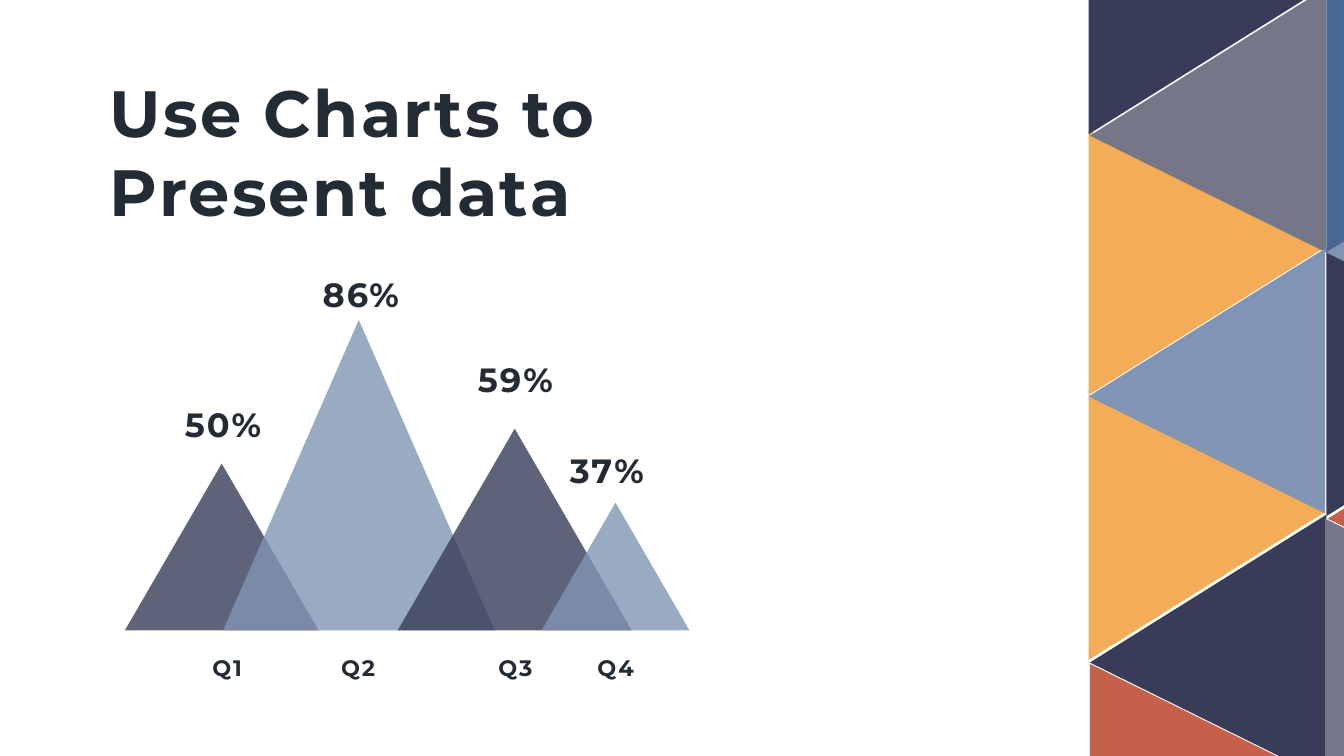
from lxml.etree import SubElement
from pptx import Presentation
from pptx.dml.color import RGBColor
from pptx.enum.shapes import MSO_SHAPE as SHAPE
from pptx.enum.text import MSO_AUTO_SIZE as AUTO, PP_ALIGN as ALIGN
from pptx.oxml.ns import qn
from pptx.util import Emu, Inches, Pt

WIDTH, HEIGHT = Inches(10), Inches(5.625)
COLUMNS = 100
CELL = WIDTH / COLUMNS
NAVY, SKY, BLUE = "383C58", "8095B5", "486794"
AMBER, GREY, RUST, INK = "F3AC58", "767689", "C4604C", "232C34"

BASELINE = 46.9
QUARTERS = [
    ("Q1", "50%", 9.3, 14.4, 12.4, NAVY, (14.7, 4.4), (12.4, 29.6, 8.4), ALIGN.CENTER),
    ("Q2", "86%", 16.6, 20.2, 23.1, SKY, (24.3, 4.7), (22.7, 19.9, 8.3), ALIGN.CENTER),
    ("Q3", "59%", 29.6, 17.4, 15, NAVY, (36, 4.7), (34.3, 26.2, 8.1), ALIGN.CENTER),
    ("Q4", "37%", 40.3, 11, 9.5, SKY, (43.4, 4.8), (40.8, 33, 8.1), ALIGN.RIGHT),
]

SIDE, REACH, RISE = 19.7, 17.6, 8.7
RIGHT, LEFT = 1, -1
TILES = [
    (98.7, 38.3, LEFT, NAVY),
    (81, 9.7, RIGHT, AMBER),
    (81, -9.7, RIGHT, NAVY),
    (98.7, -0.9, RIGHT, BLUE),
    (98.7, -0.9, LEFT, GREY),
    (81.1, 49.4, RIGHT, RUST),
    (98.6, 38.6, RIGHT, GREY),
    (81, 29.4, RIGHT, AMBER),
    (98.7, 18.7, RIGHT, NAVY),
    (116.4, 27.6, LEFT, RUST),
    (116.3, 7.8, LEFT, SKY),
    (98.6, 18.5, LEFT, SKY),
]


def grid(n):
    return Emu(round(n * CELL))


def color(target, value):
    target.rgb = RGBColor.from_string(value)


def paint(sp, value, opacity=100):
    sp.shadow.inherit = False
    sp.line.fill.background()
    sp.fill.solid()
    color(sp.fill.fore_color, value)
    if opacity < 100:
        clr = sp._element.spPr.find(qn("a:solidFill"))[0]
        SubElement(clr, qn("a:alpha"), val=str(opacity * 1000))


def add_text(s, text, x, y, w, h, size=12, align=ALIGN.LEFT):
    tf = s.shapes.add_textbox(*map(grid, (x, y, w, h))).text_frame
    tf.word_wrap = False
    tf.auto_size = AUTO.SHAPE_TO_FIT_TEXT
    for i, line in enumerate(text.split("\n")):
        p = tf.add_paragraph() if i else tf.paragraphs[0]
        p.alignment = align
        r = p.add_run()
        r.text = line
        r.font.name, r.font.size, r.font.bold = "Montserrat", Pt(size), True
        color(r.font.color, INK)
        r._r.get_or_add_rPr().set("spc", "110")


def add_mountain(s, x, w, h, fill):
    sp = s.shapes.add_shape(SHAPE.ISOSCELES_TRIANGLE, *map(grid, (x, BASELINE - h, w, h)))
    paint(sp, fill, opacity=80)


def add_tile(s, x, y, direction, fill):
    drop = RISE if direction == RIGHT else SIDE - RISE
    points = [(x, y), (x, y + SIDE), (x + direction * REACH, y + drop)]
    corners = [tuple(map(grid, point)) for point in points]
    builder = s.shapes.build_freeform(*corners[0])
    builder.add_line_segments(corners[1:], close=True)
    paint(builder.convert_to_shape(), fill)


def main():
    prs = Presentation()
    prs.slide_width, prs.slide_height = WIDTH, HEIGHT
    s = prs.slides.add_slide(prs.slide_layouts[6])
    for _, _, x, w, h, fill, *_ in QUARTERS:
        add_mountain(s, x, w, h, fill)
    for quarter, share, *_, (qx, qw), (px, py, pw), align in QUARTERS:
        add_text(s, quarter, qx, 48.2, qw, 3, align=ALIGN.CENTER)
        add_text(s, share, px, py, pw, 4, size=18, align=align)
    add_text(s, "Use Charts to\nPresent data", 7.2, 4.9, 38.6, 12.8, size=35)
    for tile in TILES:
        add_tile(s, *tile)
    prs.save("out.pptx")


if __name__ == "__main__":
    main()
